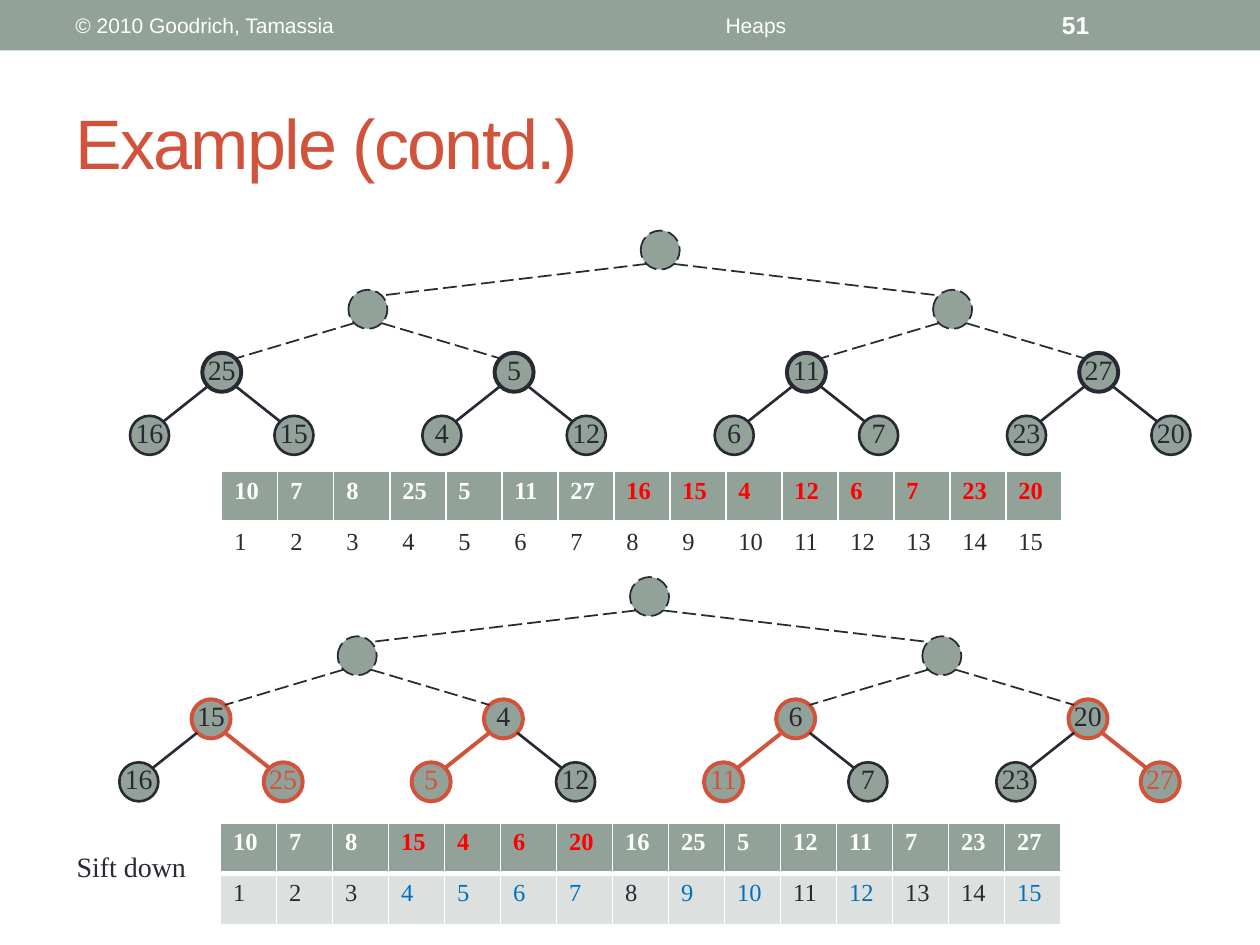
from dataclasses import dataclass

import pptx
import pptx.util
from lxml import etree
from pptx.dml.color import RGBColor
from pptx.enum.dml import MSO_LINE
from pptx.enum.shapes import MSO_CONNECTOR, MSO_SHAPE
from pptx.enum.text import MSO_ANCHOR, PP_ALIGN
from pptx.oxml.ns import qn

COLUMNS, ROWS = 100, 75


@dataclass(frozen=True)
class Theme:
    sage: str = "93A299"
    pale: str = "DCE0DE"
    ink: str = "292934"
    accent: str = "D2533C"
    white: str = "FFFFFF"
    red: str = "FF0000"
    blue: str = "0070C0"
    sans: str = "Arial"
    serif: str = "Times New Roman"
    title_size: int = 40
    node_size: int = 16
    cell_size: int = 14
    header_size: int = 12
    dashed_width: float = 1
    leaf_width: float = 1.5
    strong_width: float = 2.25


THEME = Theme()


@dataclass(frozen=True)
class Label:
    text: str
    left: float
    top: float
    width: float
    height: float
    size: float
    color: str
    font: str = THEME.sans
    bold: bool = False
    align: PP_ALIGN = PP_ALIGN.LEFT
    anchor: MSO_ANCHOR = MSO_ANCHOR.MIDDLE
    wrap: bool = True
    spacing: int = 0


@dataclass(frozen=True)
class HeapStep:
    """A heap, its array, and the 1-based positions that are marked."""
    root_x: float
    root_y: float
    table_left: float
    table_top: float
    values: tuple[int, ...]
    red_values: range
    sifted: frozenset[int] = frozenset()
    index_fill: str | None = None


HEADINGS = (
    Label("© 2010 Goodrich, Tamassia", 5, 0.2, 31.7, 3.6, THEME.header_size, THEME.white),
    Label("Heaps", 37.5, 0.2, 45, 3.6, THEME.header_size, THEME.white, align=PP_ALIGN.CENTER),
    Label("51", 83.3, 0.2, 11.7, 3.6, THEME.cell_size, THEME.white, bold=True),
    Label("Example (contd.)", 5, 5.8, 90, 10.8, THEME.title_size, THEME.accent, spacing=-100),
    Label("Sift down", 5.1, 66.9, 10.8, 3.7, THEME.node_size, THEME.ink, THEME.serif,
          anchor=MSO_ANCHOR.TOP, wrap=False),
)
STEPS = (
    HeapStep(52.4, 19.85, 17.6, 37.4,
             (10, 7, 8, 25, 5, 11, 27, 16, 15, 4, 12, 6, 7, 23, 20), range(8, 16)),
    HeapStep(51.55, 47.35, 17.5, 65.3,
             (10, 7, 8, 15, 4, 6, 20, 16, 25, 5, 12, 11, 7, 23, 27), range(4, 8),
             frozenset({4, 5, 6, 7, 9, 10, 12, 15}), THEME.pale),
)

DIAMETER = 3.1
JOINT = 1.1  # from a node's centre to its diagonal edge joints
LEVEL_DROP = (0, 4.7, 9.7, 14.7)
CHILD_SHIFT = (0, 23.2, 11.6, 5.73)
FIRST_VALUED, FIRST_LEAF = 4, 8
CELL_WIDTH, CELL_HEIGHT = 4.447, 4.05

deck = pptx.Presentation()
deck.slide_width, deck.slide_height = pptx.util.Inches(10), pptx.util.Inches(7.5)
slide = deck.slides.add_slide(deck.slide_layouts[6])


def across(columns: float) -> int:
    return round(deck.slide_width * columns / COLUMNS)


def down(rows: float) -> int:
    return round(deck.slide_height * rows / ROWS)


def box(left: float, top: float, width: float, height: float) -> tuple[int, ...]:
    return across(left), down(top), across(width), down(height)


def write(paragraph, text: str, color: str, **font_format) -> None:
    run = paragraph.add_run()
    run.text = text
    for attribute, value in font_format.items():
        setattr(run.font, attribute, value)
    run.font.color.rgb = RGBColor.from_string(color)


def set_line(line, color: str, width: float, dashed: bool) -> None:
    line.color.rgb = RGBColor.from_string(color)
    line.width = pptx.util.Pt(width)
    if dashed:
        line.dash_style = MSO_LINE.LONG_DASH


def draw_label(label: Label) -> None:
    frame = slide.shapes.add_textbox(
        *box(label.left, label.top, label.width, label.height)).text_frame
    frame.word_wrap, frame.vertical_anchor = label.wrap, label.anchor
    paragraph = frame.paragraphs[0]
    paragraph.alignment = label.align
    write(paragraph, label.text, label.color, name=label.font,
          size=pptx.util.Pt(label.size), bold=label.bold)
    if label.spacing:
        paragraph.runs[0].font._element.set("spc", str(label.spacing))


def node_centre(step: HeapStep, position: int) -> tuple[float, float]:
    level = position.bit_length() - 1
    x = step.root_x
    for depth in range(1, level + 1):
        goes_right = position >> (level - depth) & 1
        x += CHILD_SHIFT[depth] if goes_right else -CHILD_SHIFT[depth]
    return x, step.root_y + LEVEL_DROP[level]


def draw_edge(step: HeapStep, child: int) -> None:
    parent_x, parent_y = node_centre(step, child // 2)
    child_x, child_y = node_centre(step, child)
    side = JOINT if child % 2 else -JOINT
    edge = slide.shapes.add_connector(
        MSO_CONNECTOR.STRAIGHT, across(parent_x + side), down(parent_y + JOINT),
        across(child_x - side), down(child_y - JOINT))
    dashed = child < FIRST_LEAF
    if dashed:
        set_line(edge.line, THEME.ink, THEME.dashed_width, dashed)
    elif child in step.sifted:
        set_line(edge.line, THEME.accent, THEME.strong_width, dashed)
    else:
        set_line(edge.line, THEME.ink, THEME.leaf_width, dashed)
    etree.SubElement(edge._element.spPr, qn("a:effectLst"))


def draw_node(step: HeapStep, position: int) -> None:
    x, y = node_centre(step, position)
    node = slide.shapes.add_shape(
        MSO_SHAPE.OVAL, *box(x - DIAMETER / 2, y - DIAMETER / 2, DIAMETER, DIAMETER))
    node.shadow.inherit = False
    node.fill.solid()
    node.fill.fore_color.rgb = RGBColor.from_string(THEME.sage)
    sifted, leaf = position in step.sifted, position >= FIRST_LEAF
    if position < FIRST_VALUED:
        set_line(node.line, THEME.ink, THEME.dashed_width, True)
        return
    set_line(node.line, THEME.accent if sifted else THEME.ink,
             THEME.leaf_width if leaf and not sifted else THEME.strong_width, False)
    frame = node.text_frame
    frame_format = dict(margin_left=0, margin_top=0, margin_right=0, margin_bottom=down(0.5),
                        word_wrap=False, vertical_anchor=MSO_ANCHOR.MIDDLE)
    for attribute, value in frame_format.items():
        setattr(frame, attribute, value)
    frame.paragraphs[0].alignment = PP_ALIGN.CENTER
    write(frame.paragraphs[0], str(step.values[position - 1]),
          THEME.accent if sifted and leaf else THEME.ink,
          name=THEME.serif, size=pptx.util.Pt(THEME.node_size))


def fill_cell(cell, text: str, color: str, fill: str | None, bold: bool,
              borders: dict[str, int]) -> None:
    write(cell.text_frame.paragraphs[0], text, color, name=THEME.serif,
          size=pptx.util.Pt(THEME.cell_size), bold=bold)
    properties = cell._tc.get_or_add_tcPr()
    for side, width in borders.items():
        border = etree.SubElement(properties, qn(f"a:{side}"), w=str(pptx.util.Pt(width)))
        paint = etree.SubElement(border, qn("a:solidFill"))
        etree.SubElement(paint, qn("a:srgbClr"), val=THEME.white)
    if fill is None:
        cell.fill.background()
    else:
        cell.fill.solid()
        cell.fill.fore_color.rgb = RGBColor.from_string(fill)


def draw_array(step: HeapStep) -> None:
    count = len(step.values)
    array = slide.shapes.add_table(2, count, *box(
        step.table_left, step.table_top, count * CELL_WIDTH, 2 * CELL_HEIGHT)).table
    array.horz_banding = False
    for position, value in enumerate(step.values, start=1):
        fill_cell(array.cell(0, position - 1), str(value),
                  THEME.red if position in step.red_values else THEME.white,
                  THEME.sage, True, dict(lnL=1, lnR=1, lnT=1, lnB=3))
        fill_cell(array.cell(1, position - 1), str(position),
                  THEME.blue if position in step.sifted else THEME.ink,
                  step.index_fill, False, dict(lnL=1, lnR=1, lnT=3, lnB=1))


def main() -> None:
    band = slide.shapes.add_shape(MSO_SHAPE.RECTANGLE, *box(0, 0, COLUMNS, 4))
    band.shadow.inherit = False
    band.fill.solid()
    band.fill.fore_color.rgb = RGBColor.from_string(THEME.sage)
    band.line.fill.background()
    for label in HEADINGS:
        draw_label(label)
    for step in STEPS:
        for position in range(1, len(step.values) + 1):
            draw_node(step, position)
            if position > 1:
                draw_edge(step, position)
        draw_array(step)
    deck.save("out.pptx")


if __name__ == "__main__":
    main()
